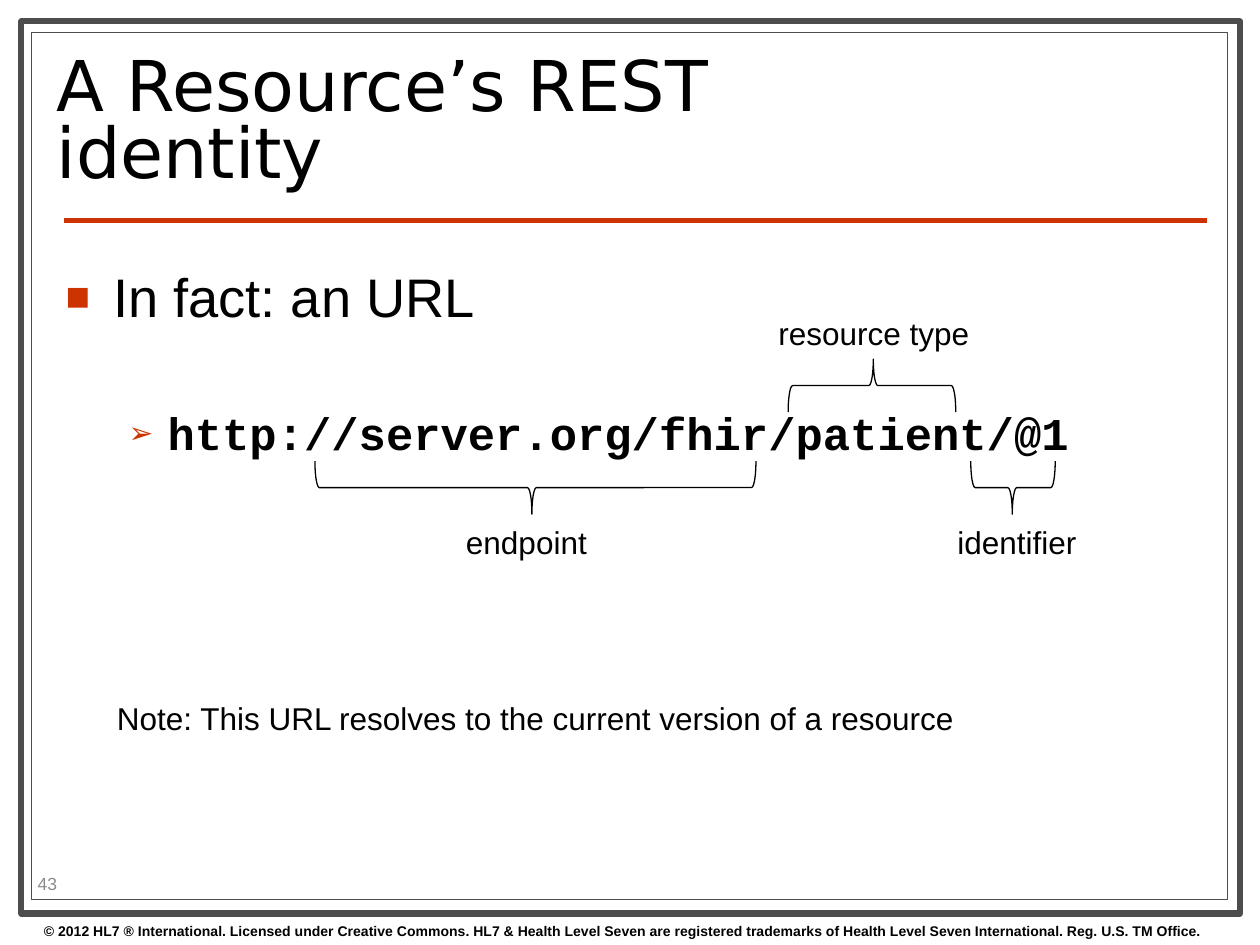
from dataclasses import dataclass

from lxml import etree
from pptx import Presentation
from pptx.dml.color import RGBColor
from pptx.enum import shapes, text
from pptx.oxml import ns
from pptx.util import Inches, Pt


@dataclass(frozen=True)
class Theme:
    ink: str = "000000"
    edge: str = "4D4D4D"
    red: str = "CC3300"
    gray: str = "8C8C8C"
    sans: str = "Arial"
    mono: str = "Courier New"
    head: str = "DejaVu Sans"
    title: int = 40
    lead: int = 31
    url: int = 26
    label: int = 18
    page: int = 10
    legal: int = 8


def color(code):
    return RGBColor.from_string(code)


def write(para, words, size, font, ink, bold=False, before=0, line=None):
    para.alignment = text.PP_ALIGN.LEFT
    para.space_before = Pt(before)
    if line:
        para.line_spacing = line
    run = para.add_run()
    run.text = words
    run.font.size = Pt(size)
    run.font.name = font
    run.font.bold = bold
    run.font.color.rgb = color(ink)


def bullet(para, mark, ink, scale, left, hang):
    props = para._p.get_or_add_pPr()
    props.set("marL", str(Inches(left)))
    props.set("indent", str(-Inches(hang)))
    tint = etree.SubElement(props, ns.qn("a:buClr"))
    etree.SubElement(tint, ns.qn("a:srgbClr"), val=ink)
    etree.SubElement(props, ns.qn("a:buSzPct"), val=str(scale * 1000))
    etree.SubElement(props, ns.qn("a:buChar"), char=mark)


class Deck:
    def __init__(self, theme):
        self.theme = theme
        self.file = Presentation()
        self.file.slide_width = Inches(10)
        self.file.slide_height = Inches(7.5)
        self.slide = self.file.slides.add_slide(self.file.slide_layouts[1])
        self.shapes = self.slide.shapes

    def place(self, shape, left, top, width, height, anchor):
        shape.left, shape.top = Inches(left), Inches(top)
        shape.width, shape.height = Inches(width), Inches(height)
        frame = shape.text_frame
        frame.word_wrap = True
        frame.auto_size = text.MSO_AUTO_SIZE.NONE
        frame.vertical_anchor = anchor
        return frame

    def title(self, words):
        frame = self.place(self.shapes.title, 0.35, 0.36, 7.17, 1.26,
                           text.MSO_ANCHOR.MIDDLE)
        t = self.theme
        write(frame.paragraphs[0], words, t.title, t.head, t.ink, line=0.8)

    def body(self, lead, url):
        frame = self.place(self.slide.placeholders[1], 0.42, 2, 9.17, 4.9,
                           text.MSO_ANCHOR.TOP)
        frame.margin_top = Inches(0.09)
        t = self.theme
        first, second = frame.paragraphs[0], frame.add_paragraph()
        second.level = 1
        bullet(first, "■", t.red, 75, 0.38, 0.38)
        bullet(second, "➢", t.red, 65, 0.81, 0.31)
        write(first, lead, t.lead, t.sans, t.ink)
        write(second, url, t.url, t.mono, t.ink, bold=True, before=44)

    def outline(self, kind, left, top, width, height, ink, weight):
        shape = self.shapes.add_shape(kind, Inches(left), Inches(top),
                                      Inches(width), Inches(height))
        shape.shadow.inherit = False
        shape.fill.background()
        shape.line.color.rgb = color(ink)
        shape.line.width = Pt(weight)
        return shape

    def border(self, left, top, width, height, weight):
        self.outline(shapes.MSO_SHAPE.RECTANGLE, left, top, width, height,
                     self.theme.edge, weight)

    def brace(self, mid, level, span, turn):
        deep = 0.42
        shape = self.outline(shapes.MSO_SHAPE.LEFT_BRACE, mid - deep / 2,
                             level - span / 2, deep, span, self.theme.ink, 0.75)
        shape.adjustments[0] = 0.083
        shape.adjustments[1] = 0.492
        shape.rotation = turn

    def rule(self, left, right, top):
        line = self.shapes.add_connector(
            shapes.MSO_CONNECTOR.STRAIGHT, Inches(left), Inches(top),
            Inches(right), Inches(top))
        line.line.color.rgb = color(self.theme.red)
        line.line.width = Pt(3)
        etree.SubElement(line._element.spPr, ns.qn("a:effectLst"))

    def label(self, words, left, top, width, height=0.4, size=None, ink=None,
              bold=False, wrap=False, anchor=text.MSO_ANCHOR.TOP):
        t = self.theme
        box = self.shapes.add_textbox(0, 0, 0, 0)
        frame = self.place(box, left, top, width, height, anchor)
        frame.word_wrap = wrap
        write(frame.paragraphs[0], words, size or t.label, t.sans,
              ink or t.ink, bold=bold)


def main():
    theme = Theme()
    deck = Deck(theme)
    deck.border(0.17, 0.17, 9.67, 7.08, 3.5)
    deck.border(0.25, 0.26, 9.49, 6.88, 0.75)
    deck.rule(0.51, 9.58, 1.75)
    deck.title("A Resource’s REST identity")
    deck.body("In fact: an URL", "http://server.org/fhir/patient/@1")

    for mid, level, span, turn in (
        (4.25, 3.87, 3.5, 270),
        (6.92, 3.06, 1.33, 90),
        (8.04, 3.87, 0.67, 270),
    ):
        deck.brace(mid, level, span, turn)

    for words, left, top, width in (
        ("endpoint", 3.6, 4.1, 1.17),
        ("resource type", 6.08, 2.44, 1.73),
        ("identifier", 7.5, 4.1, 1.16),
        ("Note: This URL resolves to the current version of a resource",
         0.83, 5.5, 6.91),
    ):
        deck.label(words, left, top, width)

    deck.label("43", 0.2, 6.89, 0.79, 0.24, size=theme.page, ink=theme.gray,
               wrap=True, anchor=text.MSO_ANCHOR.MIDDLE)
    deck.label("© 2012 HL7 ® International. Licensed under Creative Commons. "
               "HL7 & Health Level Seven are registered trademarks of "
               "Health Level Seven International. Reg. U.S. TM Office.",
               0.25, 7.27, 9.75, 0.23, size=theme.legal, bold=True, wrap=True)
    deck.file.save("out.pptx")


if __name__ == "__main__":
    main()
